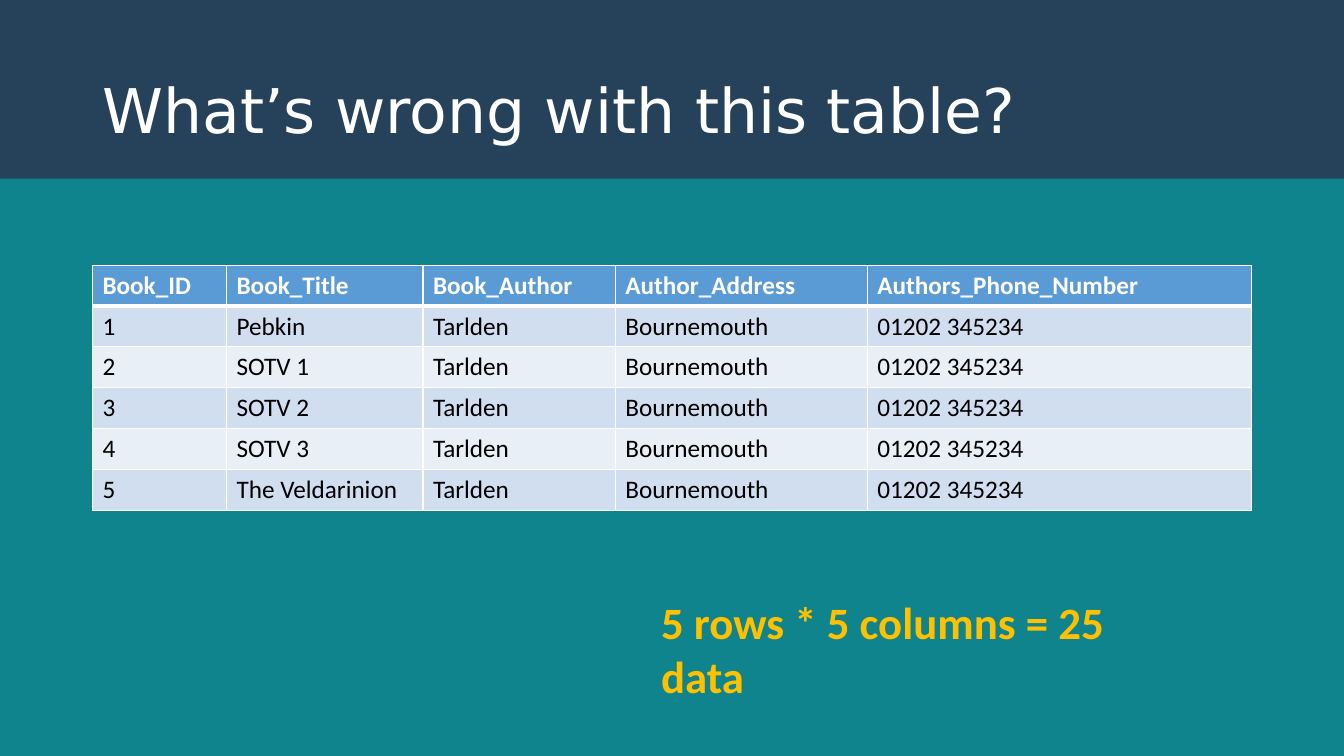
from dataclasses import dataclass

from lxml import etree
from pptx import Presentation
from pptx import util as u
from pptx.dml.color import RGBColor
from pptx.enum import shapes, text
from pptx.oxml.ns import qn

TEAL = RGBColor(0x0F, 0x84, 0x8D)
NAVY = RGBColor(0x26, 0x42, 0x5B)
WHITE = RGBColor(0xFF, 0xFF, 0xFF)
BLACK = RGBColor(0x00, 0x00, 0x00)
GOLD = RGBColor(0xFF, 0xC0, 0x00)
BLUE = RGBColor(0x5B, 0x9B, 0xD5)
BAND_DARK = RGBColor(0xD1, 0xDE, 0xEF)
BAND_LIGHT = RGBColor(0xE9, 0xEF, 0xF7)

THIN, THICK = u.Pt(0.96), u.Pt(3)
ROW_HEIGHT = 1.03


@dataclass(frozen=True)
class TextStyle:
    font: str
    size: int
    color: RGBColor
    bold: bool = False


@dataclass(frozen=True)
class Column:
    heading: str
    width: float


TITLE = TextStyle("DejaVu Sans", 44, WHITE)
HEADING = TextStyle("Calibri", 18, WHITE, True)
BODY = TextStyle("Calibri", 18, BLACK)
CALLOUT = TextStyle("Calibri", 32, GOLD, True)

COLUMNS = [
    Column("Book_ID", 3.38),
    Column("Book_Title", 4.95),
    Column("Book_Author", 4.85),
    Column("Author_Address", 6.35),
    Column("Authors_Phone_Number", 9.68),
]
BOOKS = ["Pebkin", "SOTV 1", "SOTV 2", "SOTV 3", "The Veldarinion"]
AUTHOR = ["Tarlden", "Bournemouth", "01202 345234"]


def write(frame, words: str, style: TextStyle) -> None:
    span = frame.paragraphs[0].add_run()
    span.text = words
    span.font.name = style.font
    span.font.size = u.Pt(style.size)
    span.font.bold = style.bold
    span.font.color.rgb = style.color


def add_borders(cell, top: int, bottom: int) -> None:
    properties = cell._tc.get_or_add_tcPr()
    for side, width in (("L", THIN), ("R", THIN), ("T", top), ("B", bottom)):
        line = etree.SubElement(properties, qn(f"a:ln{side}"), w=str(int(width)))
        fill = etree.SubElement(line, qn("a:solidFill"))
        etree.SubElement(fill, qn("a:srgbClr"), val=str(WHITE))


def add_banner(page) -> None:
    banner = page.shapes.add_shape(
        shapes.MSO_SHAPE.RECTANGLE, 0, 0, u.Cm(33.87), u.Cm(4.5))
    banner.shadow.inherit = False
    banner.fill.solid()
    banner.fill.fore_color.rgb = NAVY
    banner.line.fill.background()
    page.shapes.title._element.addprevious(banner._element)


def set_title(page, words: str) -> None:
    title = page.shapes.title
    title.left, title.top = u.Cm(2.33), u.Cm(1.02)
    title.width, title.height = u.Cm(29.21), u.Cm(3.68)
    frame = title.text_frame
    frame.auto_size = text.MSO_AUTO_SIZE.NONE
    frame.vertical_anchor = text.MSO_ANCHOR.MIDDLE
    para = frame.paragraphs[0]
    para.alignment = text.PP_ALIGN.LEFT
    para.line_spacing = 0.9
    write(frame, words, TITLE)


def add_book_table(page) -> None:
    rows = [[column.heading for column in COLUMNS]]
    rows += [[str(number), book, *AUTHOR] for number, book in enumerate(BOOKS, 1)]
    table = page.shapes.add_table(
        len(rows), len(COLUMNS), u.Cm(2.33), u.Cm(6.68),
        u.Cm(sum(column.width for column in COLUMNS)),
        u.Cm(ROW_HEIGHT * len(rows))).table
    for table_column, column in zip(table.columns, COLUMNS):
        table_column.width = u.Cm(column.width)
    for index, values in enumerate(rows):
        table.rows[index].height = u.Cm(ROW_HEIGHT)
        band = BLUE if index == 0 else BAND_DARK if index % 2 else BAND_LIGHT
        for position, value in enumerate(values):
            cell = table.cell(index, position)
            add_borders(cell, THICK if index == 1 else THIN,
                        THICK if index == 0 else THIN)
            cell.fill.solid()
            cell.fill.fore_color.rgb = band
            write(cell.text_frame, value, BODY if index else HEADING)


def add_callout(page, words: str) -> None:
    box = page.shapes.add_textbox(u.Cm(16.41), u.Cm(14.86), u.Cm(13.7), u.Cm(1.6))
    box.text_frame.word_wrap = True
    write(box.text_frame, words, CALLOUT)


def main() -> None:
    deck = Presentation()
    deck.slide_width, deck.slide_height = u.Cm(33.87), u.Cm(19.05)
    page = deck.slides.add_slide(deck.slide_layouts.get_by_name("Title Only"))
    page.background.fill.solid()
    page.background.fill.fore_color.rgb = TEAL
    add_banner(page)
    set_title(page, "What’s wrong with this table?")
    add_book_table(page)
    add_callout(page, "5 rows * 5 columns = 25 data")
    deck.save("out.pptx")


if __name__ == "__main__":
    main()
